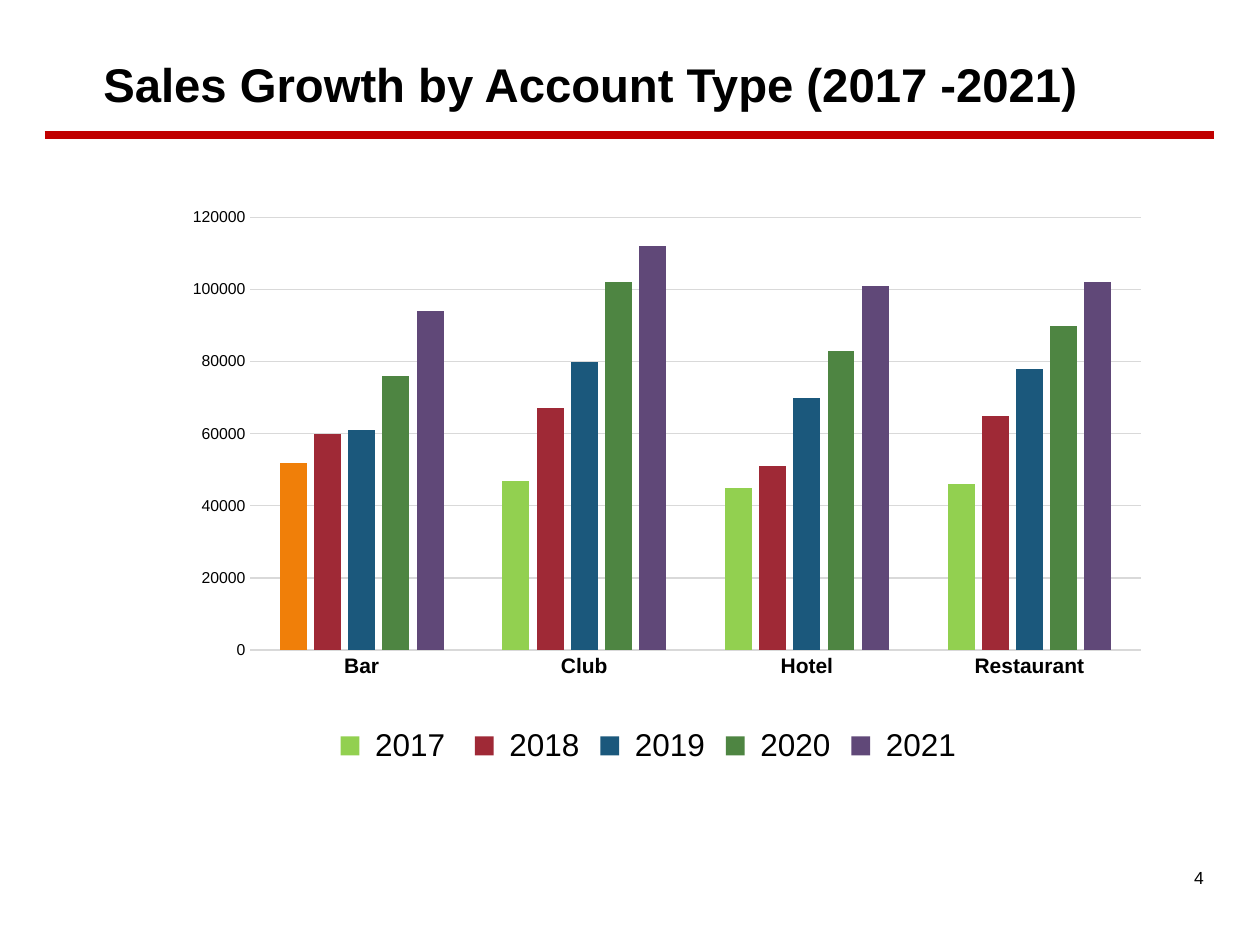
from lxml.etree import SubElement as Sub
from pptx import Presentation
from pptx.chart.data import CategoryChartData as Data
from pptx.dml.color import RGBColor as Rgb
from pptx.enum.chart import XL_CHART_TYPE as Kind, XL_LEGEND_POSITION as Spot
from pptx.enum.chart import XL_TICK_MARK as Tick
from pptx.enum.shapes import MSO_CONNECTOR as Link
from pptx.enum.text import MSO_ANCHOR as Anchor, PP_ALIGN as Align
from pptx.oxml.ns import qn
from pptx.util import Pt

FONT = "Arial"
BLACK = "000000"
GREY = "D9D9D9"
TYPES = ["Bar", "Club", "Hotel", "Restaurant"]
SALES = [
    (" 2017 ", "92D050", [52000, 47000, 45000, 46000]),
    (" 2018", "9F2936", [60000, 67000, 51000, 65000]),
    (" 2019", "1B587C", [61000, 80000, 70000, 78000]),
    (" 2020", "4E8542", [76000, 102000, 83000, 90000]),
    (" 2021", "604878", [94000, 112000, 101000, 102000]),
]


def color(code):
    """Turn a hex string into a colour."""
    return Rgb.from_string(code)


def style(font, size, bold=False):
    """Set face, size, weight and colour of a font."""
    font.name, font.size, font.bold = FONT, Pt(size), bold
    font.color.rgb = color(BLACK)


def paint(form, code):
    """Give a series or point a solid fill."""
    form.fill.solid()
    form.fill.fore_color.rgb = color(code)


def rule(line, code, width):
    """Set colour and width of a line."""
    line.color.rgb = color(code)
    line.width = Pt(width)


def add_text(slide, box, text, size, bold=False, align=Align.LEFT,
             anchor=Anchor.TOP, left=7.2):
    """Add a text box with one run."""
    frame = slide.shapes.add_textbox(*map(Pt, box)).text_frame
    frame.word_wrap = True
    frame.vertical_anchor = anchor
    frame.margin_left = Pt(left)
    para = frame.paragraphs[0]
    para.alignment = align
    run = para.add_run()
    run.text = text
    style(run.font, size, bold)


def add_line(slide, ends, code, width):
    """Add a straight line without shadow."""
    link = slide.shapes.add_connector(Link.STRAIGHT, *map(Pt, ends))
    rule(link.line, code, width)
    Sub(link._element.spPr, qn("a:effectLst"))


def place_plot(chart, frame):
    """Fix the inner plot area as fractions of the chart."""
    area = chart._chartSpace.chart.plotArea
    for old in area.findall(qn("c:layout")):
        area.remove(old)
    layout = Sub(area, qn("c:layout"))
    area.insert(0, layout)
    manual = Sub(layout, qn("c:manualLayout"))
    pairs = [("layoutTarget", "inner"), ("xMode", "edge"), ("yMode", "edge")]
    for tag, val in pairs + list(zip("xywh", frame)):
        Sub(manual, qn("c:" + tag)).set("val", str(val))


def style_axes(chart):
    """Format both axes and the grid."""
    cat, val = chart.category_axis, chart.value_axis
    for axis, size, bold in ((cat, 12, True), (val, 9, False)):
        axis.major_tick_mark = axis.minor_tick_mark = Tick.NONE
        style(axis.tick_labels.font, size, bold)
    rule(cat.format.line, GREY, 0.75)
    val.format.line.fill.background()
    val.minimum_scale, val.maximum_scale, val.major_unit = 0, 120000, 20000
    val.has_major_gridlines = True
    rule(val.major_gridlines.format.line, GREY, 0.75)


def add_bars(slide, box):
    """Add the clustered column chart."""
    data = Data()
    data.categories = TYPES
    for name, _, vals in SALES:
        data.add_series(name, vals)
    chart = slide.shapes.add_chart(
        Kind.COLUMN_CLUSTERED, *map(Pt, box), data).chart
    chart.has_title = False
    style(chart.font, 10)
    plot = chart.plots[0]
    plot.vary_by_categories = False
    plot.gap_width, plot.overlap = 219, -27
    for bars, (_, code, _) in zip(plot.series, SALES):
        bars.invert_if_negative = False
        paint(bars.format, code)
    paint(plot.series[0].points[0].format, "F07F09")
    style_axes(chart)
    chart.has_legend = True
    chart.legend.position = Spot.BOTTOM
    chart.legend.include_in_layout = False
    style(chart.legend.font, 18)
    place_plot(chart, (0.121, 0.086, 0.848, 0.716))


def main():
    """Build and save the slide."""
    deck = Presentation()
    deck.slide_width, deck.slide_height = Pt(720), Pt(540)
    slide = deck.slides.add_slide(deck.slide_layouts[6])
    add_text(slide, (504, 492, 191, 37), "4", 10, align=Align.RIGHT)
    add_line(slide, (25.5, 77, 693.5, 77), "C00000", 4.5)
    add_text(slide, (31, 15, 600, 52.5),
             "Sales Growth by Account Type (2017 -2021)", 27, bold=True,
             anchor=Anchor.BOTTOM, left=28)
    add_bars(slide, (70.5, 94.5, 600, 345.5))
    deck.save("out.pptx")


main()
